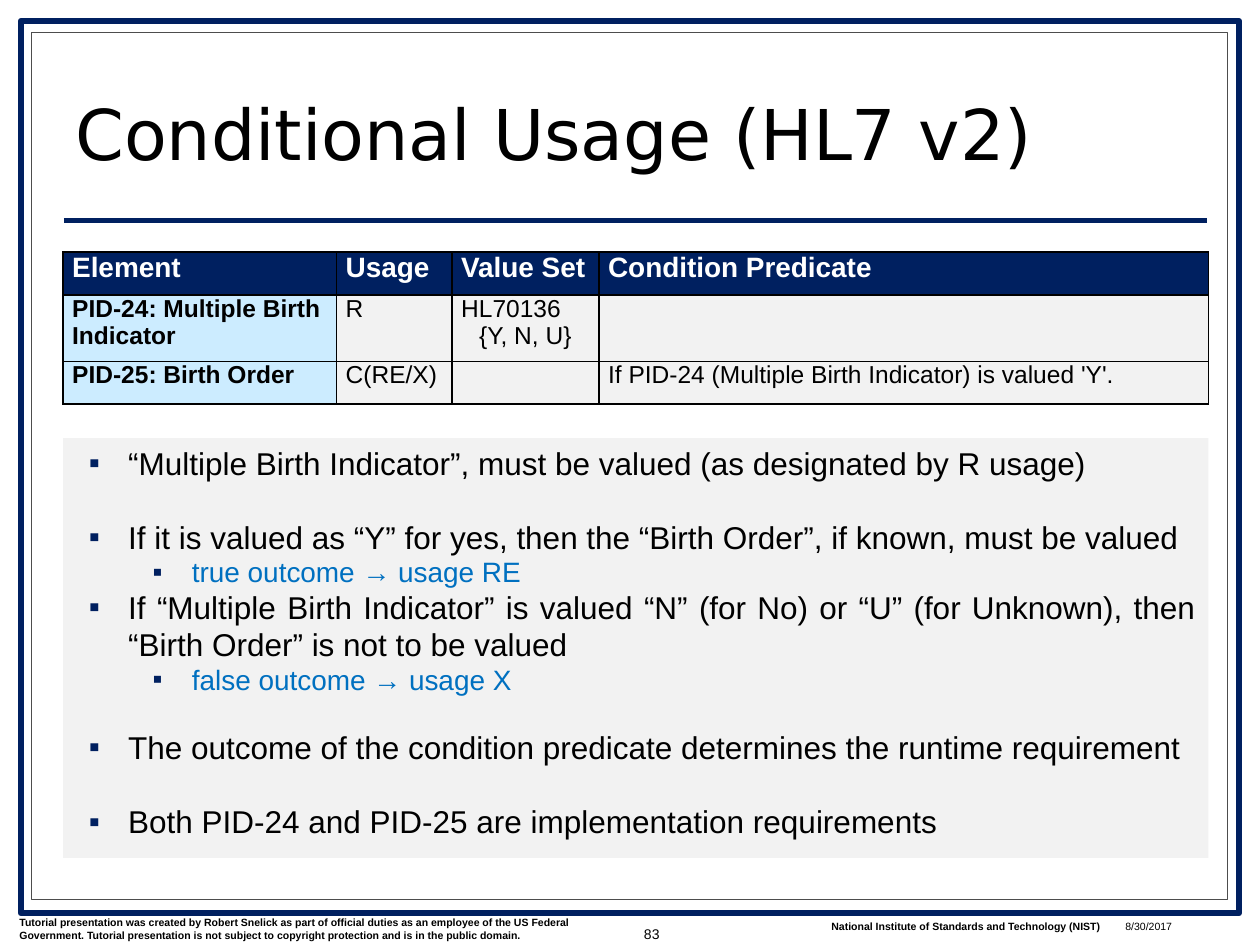
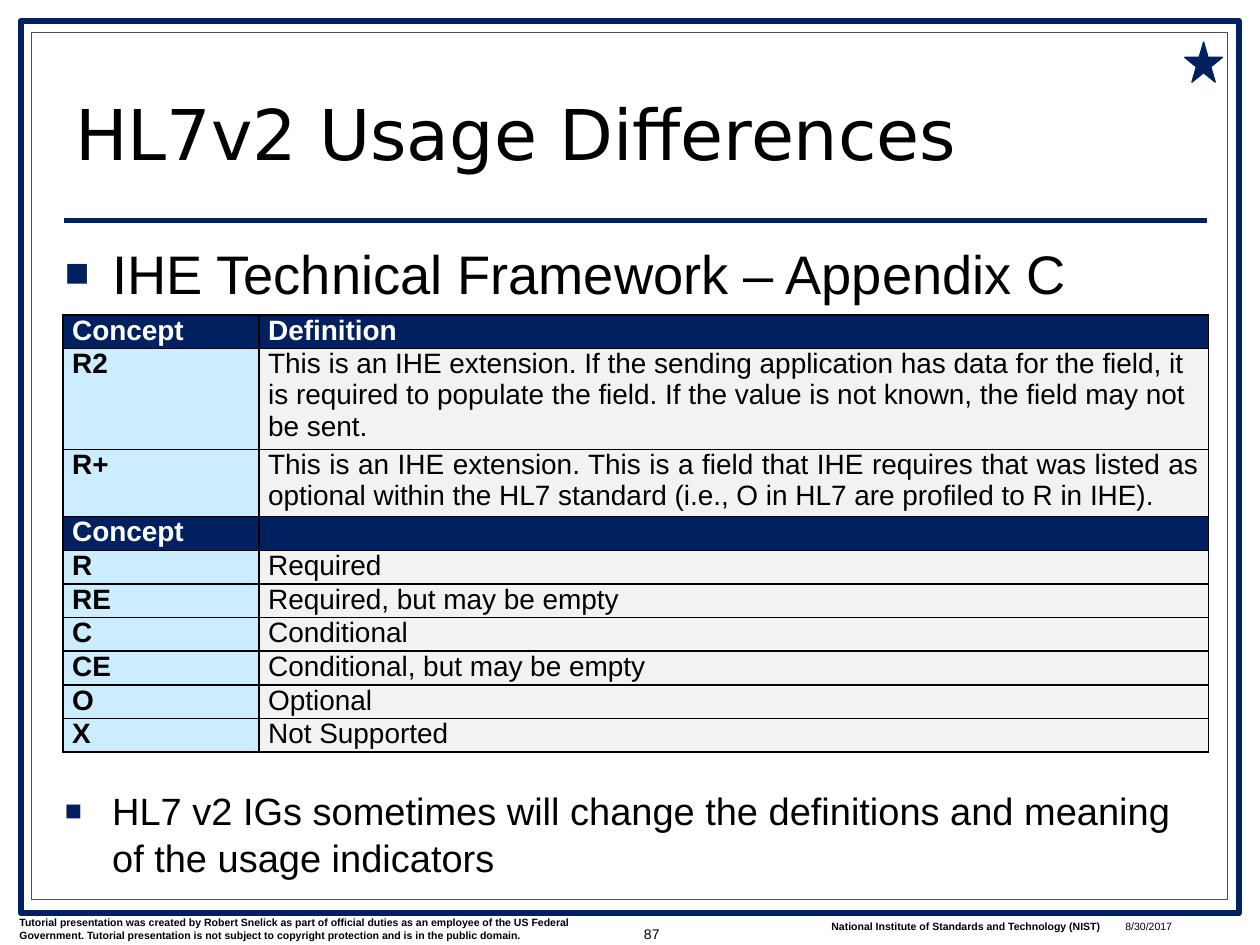
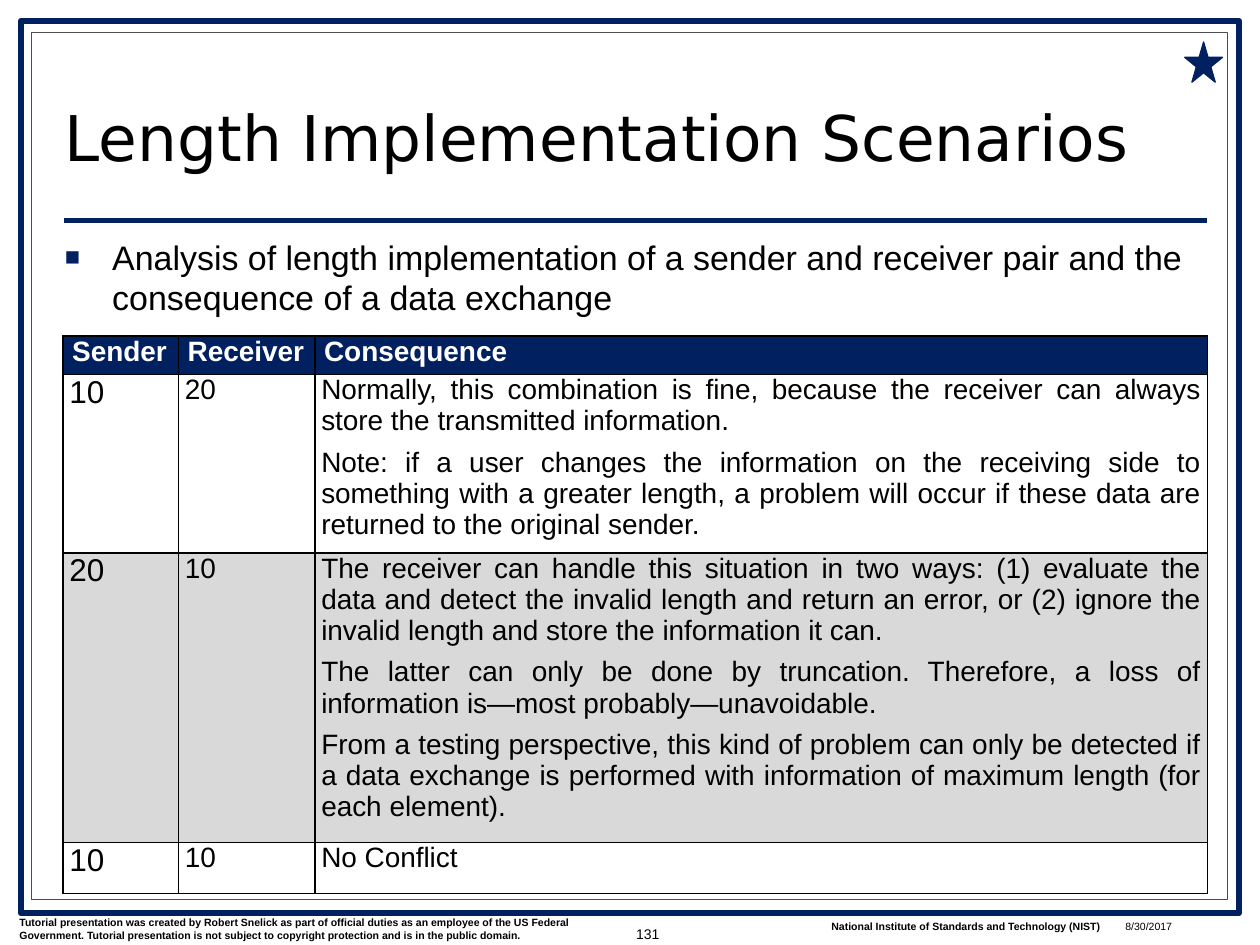
"""Build three tutorial slides on usage and length conformance."""
from pptx import Presentation
from pptx.dml.color import RGBColor
from pptx.enum.shapes import MSO_CONNECTOR, MSO_SHAPE
from pptx.enum.text import MSO_ANCHOR, PP_ALIGN
from pptx.oxml.xmlchemy import OxmlElement
from pptx.util import Pt

RECTANGLE, STAR = MSO_SHAPE.RECTANGLE, MSO_SHAPE.STAR_5_POINT
STRAIGHT = MSO_CONNECTOR.STRAIGHT
LEFT, CENTER, RIGHT, JUSTIFY = PP_ALIGN.LEFT, PP_ALIGN.CENTER, PP_ALIGN.RIGHT, PP_ALIGN.JUSTIFY
TOP, MIDDLE, BOTTOM = MSO_ANCHOR.TOP, MSO_ANCHOR.MIDDLE, MSO_ANCHOR.BOTTOM

NAVY, SKY, BLUE = "002060", "CCECFF", "0070C0"
PALE, GRAY, DARK_GRAY = "F2F2F2", "D9D9D9", "4D4D4D"
BLACK, WHITE = "000000", "FFFFFF"
BODY_FONT, TITLE_FONT = "Arial", "DejaVu Sans"
color = RGBColor.from_string


def format_paragraph(paragraph, size, text_color=BLACK, bold=False, font=BODY_FONT,
                     alignment=LEFT, spacing=None, bullet=None, margin=0, hanging=0,
                     bullet_percent=100):
    """Set the alignment, bullet and run format of one paragraph."""
    paragraph.alignment = alignment
    if spacing:
        paragraph.line_spacing = spacing
    if bullet:
        properties = paragraph._p.get_or_add_pPr()
        properties.set("marL", str(Pt(margin)))
        properties.set("indent", str(-Pt(hanging)))
        bullet_color = OxmlElement("a:buClr")
        rgb = OxmlElement("a:srgbClr")
        rgb.set("val", NAVY)
        bullet_color.append(rgb)
        properties.append(bullet_color)
        for tag, attribute, value in (("a:buSzPct", "val", str(bullet_percent * 1000)),
                                      ("a:buFont", "typeface", BODY_FONT),
                                      ("a:buChar", "char", bullet)):
            element = OxmlElement(tag)
            element.set(attribute, value)
            properties.append(element)
    for run in paragraph.runs:
        run.font.name = font
        run.font.size = Pt(size)
        run.font.bold = bold
        run.font.color.rgb = color(text_color)
    if not paragraph.runs:
        end = OxmlElement("a:endParaRPr")
        end.set("sz", str(size * 100))
        paragraph._p.append(end)


def add_grid(slide, top, widths, heights, rows, fills, body_size=16, body_margin=5.25,
             alignment=LEFT):
    """Add a bordered table whose fills are (first column, other columns) per row."""
    table = slide.shapes.add_table(len(rows), len(widths), Pt(36), Pt(top),
                                   Pt(sum(widths)), Pt(sum(heights))).table
    table.first_row = table.horz_banding = False
    for column, width in zip(table.columns, widths):
        column.width = Pt(width)
    for row, height, texts, (key_fill, value_fill) in zip(table.rows, heights, rows, fills):
        row.height = Pt(height)
        for index, (cell, text) in enumerate(zip(row.cells, texts)):
            fill = value_fill if index else key_fill
            heading = fill == NAVY
            for side in ("L", "R", "T", "B"):
                border = OxmlElement(f"a:ln{side}")
                border.set("w", str(Pt(1)))
                solid = OxmlElement("a:solidFill")
                rgb = OxmlElement("a:srgbClr")
                rgb.set("val", BLACK)
                solid.append(rgb)
                border.append(solid)
                cell._tc.get_or_add_tcPr().append(border)
            cell.fill.solid()
            cell.fill.fore_color.rgb = color(fill)
            cell.margin_left = cell.margin_right = Pt(5.25 if heading else body_margin)
            cell.margin_top = cell.margin_bottom = 0
            cell.text_frame.text = text
            for paragraph in cell.text_frame.paragraphs:
                format_paragraph(paragraph, 16 if heading else body_size,
                                 WHITE if heading else BLACK, fill in (NAVY, SKY),
                                 alignment=alignment)
    return table


presentation = Presentation()
presentation.slide_width, presentation.slide_height = Pt(720), Pt(540)

CREDIT = ("Tutorial presentation was created by Robert Snelick as part of official duties as an "
          "employee of the US Federal Government. Tutorial presentation is not subject to "
          "copyright protection and is in the public domain.")
INSTITUTE = "National Institute of Standards and Technology (NIST)"
FRAMES = [((12, 12, 696, 510), NAVY, 3.5), ((18, 18.6, 683.5, 495.5), DARK_GRAY, 0.75)]
SQUARE = dict(bullet="■", margin=27, hanging=27, bullet_percent=75)

PAGES = [
    ("Conditional Usage (HL7 v2)", (36, 38, 642, 65), 40, "83", False, []),
    ("HL7v2 Usage Differences", (36, 38, 642, 65), 40, "87", True, [
        ("IHE Technical Framework – Appendix C", 132, 31, 39),
        ("HL7 v2 IGs sometimes will change the definitions and meaning of the usage indicators",
         445.7, 21.7, 26.8)]),
    ("Length Implementation Scenarios", (30, 38, 660, 65), 36, "131", True, [
        ("Analysis of length implementation of a sender and receiver pair and the consequence "
         "of a data exchange", 132, 19.4, 22.9)]),
]

slides = []
for title, title_box, title_size, number, starred, statements in PAGES:
    slide = presentation.slides.add_slide(presentation.slide_layouts[6])
    slides.append(slide)
    for box, line_color, line_width in FRAMES:
        frame = slide.shapes.add_shape(RECTANGLE, *map(Pt, box))
        frame.shadow.inherit = False
        frame.fill.solid()
        frame.fill.fore_color.rgb = color(WHITE)
        frame.line.color.rgb = color(line_color)
        frame.line.width = Pt(line_width)
    rule = slide.shapes.add_connector(STRAIGHT, Pt(36.5), Pt(126), Pt(689.8), Pt(126))
    rule.line.color.rgb = color(NAVY)
    rule.line.width = Pt(3)
    rule._element.spPr.append(OxmlElement("a:effectLst"))

    labels = [
        (CREDIT, (4, 520, 348, 21), TOP, dict(size=6, bold=True)),
        (INSTITUTE, (468, 522, 171, 14), TOP, dict(size=6, bold=True)),
        (title, title_box, BOTTOM, dict(size=title_size, font=TITLE_FONT, spacing=0.8)),
        ("8/30/2017", (636, 522, 66, 12), TOP, dict(size=6)),
        (number, (342, 515, 42, 37), MIDDLE, dict(size=8, alignment=RIGHT)),
    ]
    for text, top, size, spacing in statements:
        labels.append((text, (30, top, 666, 50), TOP,
                       dict(size=size, spacing=Pt(spacing), **SQUARE)))
    for text, box, anchor, style in labels:
        text_frame = slide.shapes.add_textbox(*map(Pt, box)).text_frame
        text_frame.word_wrap = True
        text_frame.vertical_anchor = anchor
        text_frame.text = text
        format_paragraph(text_frame.paragraphs[0], **style)

    if starred:
        star = slide.shapes.add_shape(STAR, Pt(677), Pt(24), Pt(21.6), Pt(23))
        star.shadow.inherit = False
        star.fill.solid()
        star.fill.fore_color.rgb = color(NAVY)
        star.line.color.rgb = color(NAVY)
        star.line.width = Pt(0.75)

conditional_slide, differences_slide, length_slide = slides
HEADING, ENTRY = (NAVY, NAVY), (SKY, PALE)

usage_table = add_grid(
    conditional_slide, 144, [156.3, 66, 84, 348.2], [24.5, 38, 24.5],
    [("Element", "Usage", "Value Set", "Condition Predicate"),
     ("PID-24: Multiple Birth Indicator", "R", "HL70136\n{Y, N, U}", ""),
     ("PID-25: Birth Order", "C(RE/X)", "",
      "If PID-24 (Multiple Birth Indicator) is valued 'Y'.")],
    [HEADING, ENTRY, ENTRY], body_size=14)
usage_table.cell(1, 2).text_frame.paragraphs[1].alignment = CENTER

EXPLANATIONS = [
    ("“Multiple Birth Indicator”, must be valued (as designated by R usage)", 0, 0),
    ("If it is valued as “Y” for yes, then the “Birth Order”, if known, must be valued", 0, 21.2),
    ("true outcome → usage RE", 1, 0),
    ("If “Multiple Birth Indicator” is valued “N” (for No) or “U” (for Unknown), then "
     "“Birth Order” is not to be valued", 0, 0),
    ("false outcome → usage X", 1, 0),
    ("The outcome of the condition predicate determines the runtime requirement", 0, 18.9),
    ("Both PID-24 and PID-25 are implementation requirements", 0, 21.2),
]
LEVELS = [dict(size=18, text_color=BLACK, margin=30.2, spacing=Pt(21.2)),
          dict(size=16, text_color=BLUE, margin=66.6, spacing=Pt(18.9))]
panel = conditional_slide.shapes.add_shape(RECTANGLE, Pt(36), Pt(250.3), Pt(654.5), Pt(240))
panel.shadow.inherit = False
panel.fill.solid()
panel.fill.fore_color.rgb = color(PALE)
panel.line.fill.background()
panel.text_frame.word_wrap = True
panel.text_frame.vertical_anchor = TOP
panel.text_frame.text = "\n".join(text for text, level, gap in EXPLANATIONS)
for paragraph, (text, level, gap) in zip(panel.text_frame.paragraphs, EXPLANATIONS):
    paragraph.level = level
    if gap:
        paragraph.space_before = Pt(gap)
    format_paragraph(paragraph, alignment=JUSTIFY, bullet="▪", hanging=22.5, **LEVELS[level])

concept_table = add_grid(
    differences_slide, 180, [112, 542.5], [17.85, 53.5, 35.7] + [17.85] * 7,
    [("Concept", "Definition"),
     ("R2", "This is an IHE extension. If the sending application has data for the field, it is "
            "required to populate the field. If the value is not known, the field may not be "
            "sent."),
     ("R+", "This is an IHE extension. This is a field that IHE requires that was listed as "
            "optional within the HL7 standard (i.e., O in HL7 are profiled to R in IHE)."),
     ("Concept", ""),
     ("R", "Required"),
     ("RE", "Required, but may be empty"),
     ("C", "Conditional"),
     ("CE", "Conditional, but may be empty"),
     ("O", "Optional"),
     ("X", "Not Supported")],
    [HEADING, ENTRY, ENTRY, HEADING] + [ENTRY] * 6)
concept_table.cell(2, 1).text_frame.paragraphs[0].alignment = JUSTIFY

length_table = add_grid(
    length_slide, 192, [66, 78, 510], [22, 95.4, 153.8, 29],
    [("Sender", "Receiver", "Consequence"),
     ("10", "20",
      "Normally, this combination is fine, because the receiver can always store the "
      "transmitted information.\n"
      "Note: if a user changes the information on the receiving side to something with a "
      "greater length, a problem will occur if these data are returned to the original sender."),
     ("20", "10",
      "The receiver can handle this situation in two ways: (1) evaluate the data and detect the "
      "invalid length and return an error, or (2) ignore the invalid length and store the "
      "information it can.\n"
      "The latter can only be done by truncation. Therefore, a loss of information is—most "
      "probably—unavoidable.\n"
      "From a testing perspective, this kind of problem can only be detected if a data exchange "
      "is performed with information of maximum length (for each element)."),
     ("10", "10", "No Conflict")],
    [HEADING, (WHITE, WHITE), (GRAY, GRAY), (WHITE, WHITE)], body_margin=3.6, alignment=JUSTIFY)
for row in range(1, 4):
    length_table.cell(row, 0).text_frame.paragraphs[0].runs[0].font.size = Pt(18)
    for paragraph in length_table.cell(row, 2).text_frame.paragraphs[:-1]:
        paragraph.space_after = Pt(6)

presentation.save("out.pptx")
